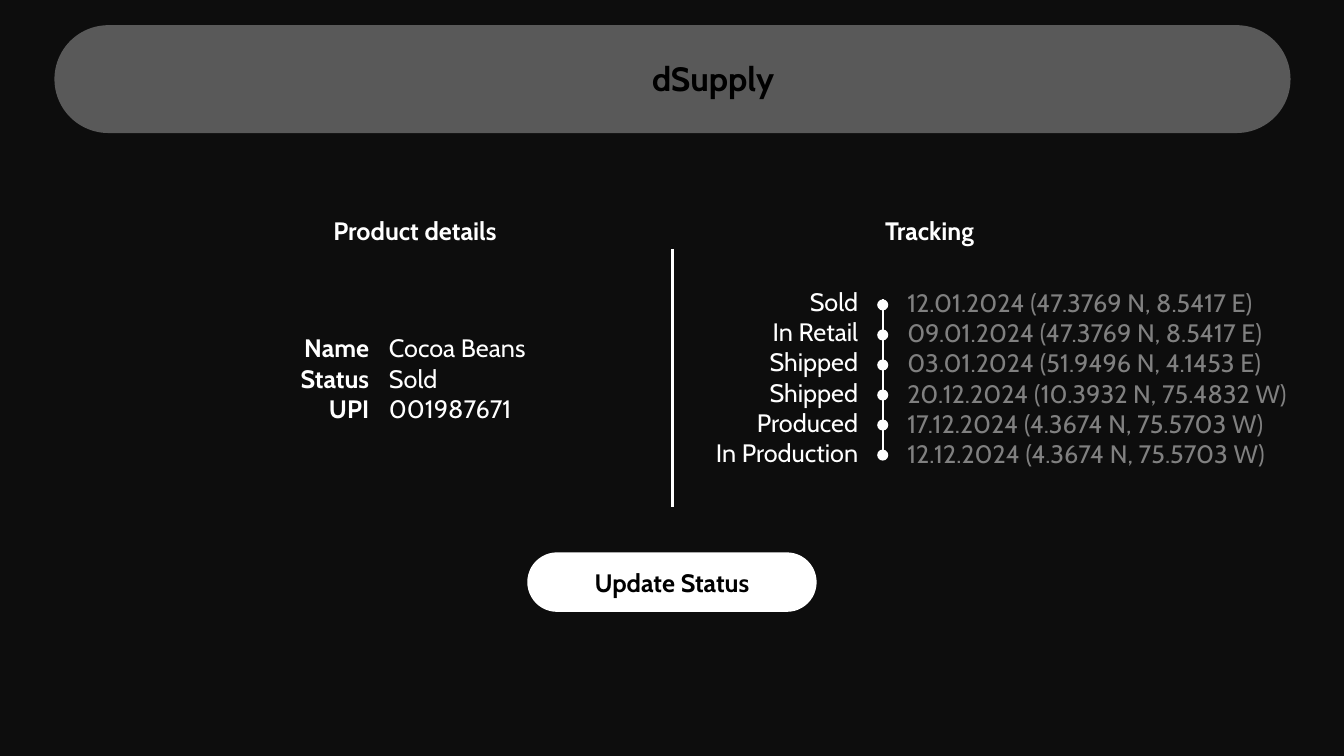
from lxml import etree
from pptx import Presentation
from pptx import util as u
from pptx.dml.color import RGBColor
from pptx.enum import shapes, text
from pptx.oxml.ns import qn

FONT = "Cabin"
WHITE, BLACK, NIGHT = "FFFFFF", "000000", "0D0D0D"
BANNER_GREY, TEXT_GREY = "595959", "808080"
LEFT, CENTER, RIGHT = text.PP_ALIGN.LEFT, text.PP_ALIGN.CENTER, text.PP_ALIGN.RIGHT

DETAILS = [("Name", "Cocoa Beans"), ("Status", "Sold"), ("UPI", "001987671")]
TRACKING = [
    ("Sold", "12.01.2024 (47.3769 N, 8.5417 E)"),
    ("In Retail", "09.01.2024 (47.3769 N, 8.5417 E)"),
    ("Shipped", "03.01.2024 (51.9496 N, 4.1453 E)"),
    ("Shipped", "20.12.2024 (10.3932 N, 75.4832 W)"),
    ("Produced", "17.12.2024 (4.3674 N, 75.5703 W)"),
    ("In Production", "12.12.2024 (4.3674 N, 75.5703 W)"),
]


def color(value):
    return RGBColor.from_string(value)


def add_filled(slide, kind, box, fill):
    shape = slide.shapes.add_shape(kind, *map(u.Inches, box))
    shape.shadow.inherit = False
    shape.fill.solid()
    shape.fill.fore_color.rgb = color(fill)
    shape.line.fill.background()
    return shape


def add_pill(slide, box, fill):
    pill = add_filled(slide, shapes.MSO_SHAPE.ROUNDED_RECTANGLE, box, fill)
    pill.adjustments[0] = 0.5


def add_vertical_line(slide, x, top, bottom):
    line = slide.shapes.add_connector(
        shapes.MSO_CONNECTOR.STRAIGHT,
        u.Inches(x), u.Inches(top), u.Inches(x), u.Inches(bottom))
    line.line.color.rgb = color(WHITE)
    line.line.width = u.Pt(1.5)
    etree.SubElement(line._element.spPr, qn("a:effectLst"))


def add_text(slide, box, content, align=CENTER, fill=WHITE, bold=False, size=18):
    """A newline starts a paragraph; a vertical tab breaks the line."""
    shape = slide.shapes.add_textbox(*map(u.Inches, box))
    frame = shape.text_frame
    frame.word_wrap = False
    frame.auto_size = text.MSO_AUTO_SIZE.SHAPE_TO_FIT_TEXT
    frame.text = content
    for paragraph in frame.paragraphs:
        paragraph.alignment = align
        for run in paragraph.runs:
            run.font.name = FONT
            run.font.size = u.Pt(size)
            run.font.bold = bold
            run.font.color.rgb = color(fill)


def add_details(slide):
    add_text(slide, (3.14, 2.09, 1.95, 0.4), "Product details", bold=True)
    labels, values = zip(*DETAILS)
    add_text(slide, (2.81, 3.25, 0.95, 1.01), "\n".join(labels), RIGHT, bold=True)
    add_text(slide, (3.76, 3.25, 1.66, 1.01), "\n".join(values), LEFT)


def add_tracking(slide):
    add_text(slide, (8.64, 2.09, 1.16, 0.4), "Tracking", bold=True)
    stages, places = zip(*TRACKING)
    add_text(slide, (6.96, 2.79, 1.65, 1.92), "\v".join(stages), RIGHT)
    add_text(slide, (8.9, 2.8, 4.01, 1.92), "\v".join(places), LEFT, TEXT_GREY)

    # Timeline with one dot per stage
    first, last, dot = 2.97, 4.46, 0.11
    add_vertical_line(slide, 8.76, first, 4.52)
    step = (last - first) / (len(TRACKING) - 1)
    for index in range(len(TRACKING)):
        add_filled(slide, shapes.MSO_SHAPE.OVAL,
                   (8.7, first + index * step, dot, dot), WHITE)


def main():
    presentation = Presentation()
    presentation.slide_width = u.Inches(13.33)
    presentation.slide_height = u.Inches(7.5)
    slide = presentation.slides.add_slide(presentation.slide_layouts[6])

    # Backdrop and banner
    add_filled(slide, shapes.MSO_SHAPE.RECTANGLE, (0, 0, 13.33, 7.5), NIGHT)
    add_pill(slide, (0.54, 0.25, 12.26, 1.07), BANNER_GREY)
    add_text(slide, (6.37, 0.53, 1.46, 0.5), "dSupply", LEFT, BLACK, True, 24)

    # Two columns and their divider
    add_vertical_line(slide, 6.67, 2.47, 5.03)
    add_details(slide)
    add_tracking(slide)

    # Button
    add_pill(slide, (5.23, 5.48, 2.87, 0.59), WHITE)
    add_text(slide, (5.75, 5.58, 1.83, 0.4), "Update Status", fill=BLACK, bold=True)

    presentation.save("out.pptx")


if __name__ == "__main__":
    main()
